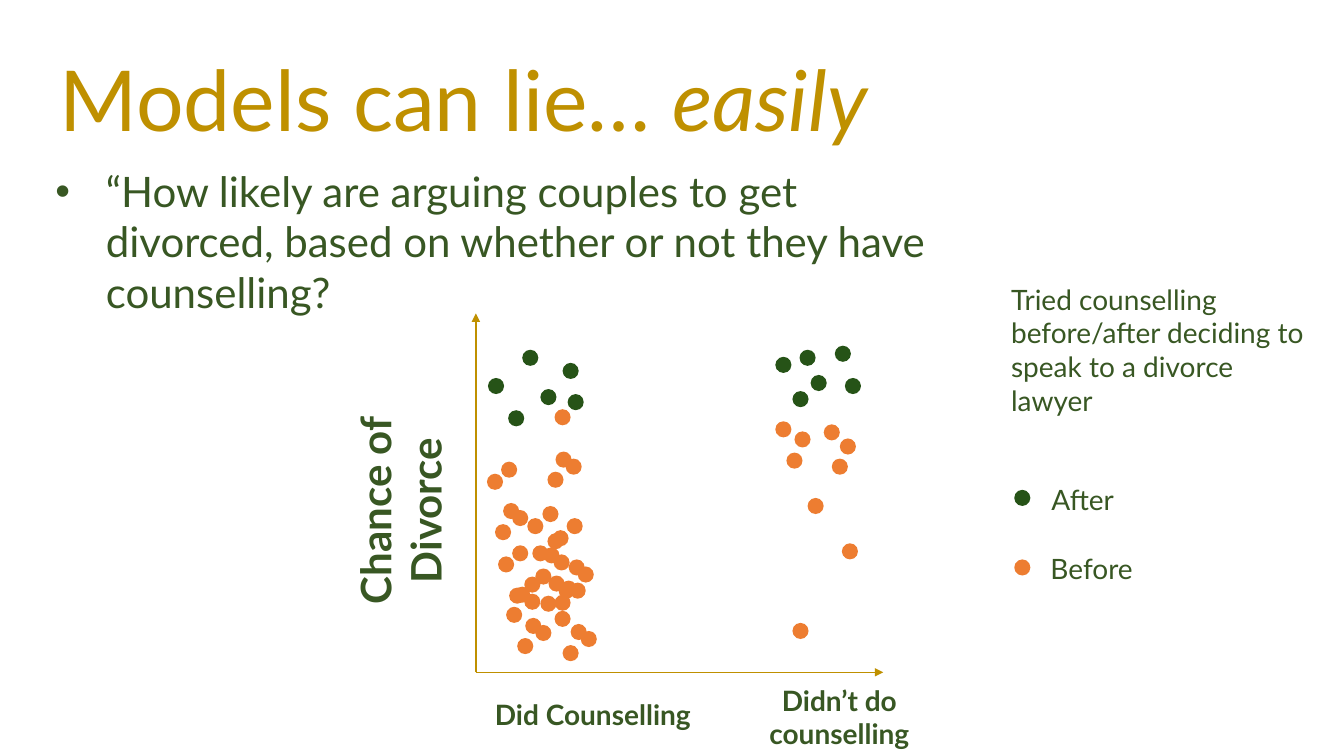
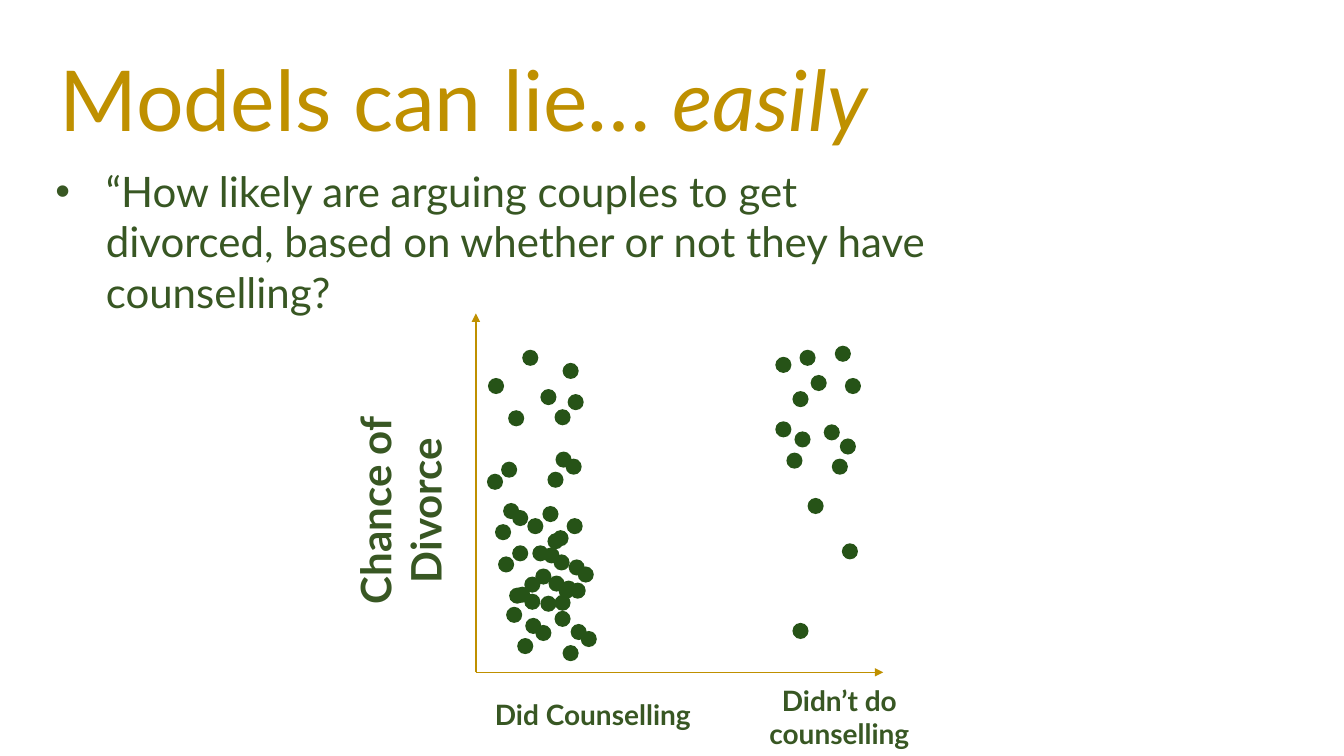
from lxml import etree
from pptx import Presentation
from pptx.dml.color import RGBColor
from pptx.enum.shapes import MSO_CONNECTOR, MSO_SHAPE
from pptx.enum.text import MSO_ANCHOR, MSO_AUTO_SIZE, PP_ALIGN
from pptx.oxml.ns import qn
from pptx.util import Emu, Pt

STRAIGHT = MSO_CONNECTOR.STRAIGHT
OVAL = MSO_SHAPE.OVAL
TOP = MSO_ANCHOR.TOP
NO_FIT = MSO_AUTO_SIZE.NONE
LEFT, CENTER = PP_ALIGN.LEFT, PP_ALIGN.CENTER

FONT = "Lato"
COLORS = {"gold": "BF9000", "text": "385723", "green": "265317", "orange": "ED7D31"}
SLIDE_W, SLIDE_H = 1333, 750
DOT = 16

TITLE = [("Models can lie… ", False), ("easily", True)]
TITLE_BOX = (49, 42, 1235, 111)
QUESTION = ("“How likely are arguing couples to get divorced, "
            "based on whether or not they have counselling?")
QUESTION_BOX = (45, 159, 925, 162)
BULLET_INDENT = 50

ORIGIN = (472, 667)
AXIS_ENDS = [(472, 311), (876, 667)]
AXIS_LABELS = [
    ("Did Counselling", (481, 687, 235, 35), 20, LEFT, 0),
    ("Chance of Divorce", (236, 451, 322, 111), 30, CENTER, 270),
    ("Didn’t do counselling", (729, 673, 207, 77), 20, CENTER, 0),
]

AFTER = [
    (484, 375), (504, 407), (518, 347), (786, 388), (536, 386), (804, 372),
    (828, 343), (793, 347), (838, 375), (769, 354), (563, 391), (558, 360),
]
BEFORE = [
    (551, 448), (499, 499), (564, 555), (510, 582), (566, 619), (521, 613),
    (539, 543), (544, 571), (543, 468), (491, 520), (556, 576), (502, 602),
    (558, 640), (513, 633), (531, 564), (536, 591), (561, 455), (508, 506),
    (573, 562), (520, 589), (576, 626), (531, 620), (549, 550), (554, 578),
    (550, 406), (497, 458), (562, 514), (508, 541), (565, 578), (520, 572),
    (538, 502), (543, 529), (550, 606), (483, 470), (548, 526), (494, 552),
    (550, 590), (505, 583), (523, 514), (528, 541), (833, 435), (788, 428),
    (769, 418), (825, 455), (780, 449), (817, 421), (801, 494), (835, 539),
    (786, 618),
]

LEGEND_TITLE = "Tried counselling before/after deciding to speak to a divorce lawyer"
LEGEND_TITLE_BOX = (993, 275, 310, 145)
LEGEND = [
    ("After", "green", (1006, 486), (1033, 474, 310, 44)),
    ("Before", "orange", (1006, 555), (1032, 542, 310, 44)),
]

SLIDES = [
    {"before_color": "orange", "legend": True},
    {"before_color": "green", "legend": False},
]


def px(n):
    return Emu(n * 9144)


def rgb(name):
    return RGBColor.from_string(COLORS[name])


def place(sp, box):
    sp.left, sp.top, sp.width, sp.height = map(px, box)


def write(sp, runs, size, color="text", bold=False, align=LEFT):
    tf = sp.text_frame
    tf.word_wrap = True
    tf.auto_size = NO_FIT
    tf.vertical_anchor = TOP
    p = tf.paragraphs[0]
    p.alignment = align
    p.space_before = Pt(0)
    for text, italic in runs:
        r = p.add_run()
        r.text = text
        r.font.name = FONT
        r.font.size = Pt(size)
        r.font.bold = bold
        r.font.italic = italic
        r.font.color.rgb = rgb(color)
    return p


def add_label(shapes, text, box, size=20, bold=False, align=LEFT, rotation=0):
    sp = shapes.add_textbox(*map(px, box))
    sp.rotation = rotation
    write(sp, [(text, False)], size, bold=bold, align=align)


def add_dot(shapes, at, color):
    sp = shapes.add_shape(OVAL, *map(px, (*at, DOT, DOT)))
    sp.shadow.inherit = False
    sp.fill.solid()
    sp.fill.fore_color.rgb = rgb(color)
    sp.line.fill.background()


def add_axis(shapes, end):
    line = shapes.add_connector(STRAIGHT, *map(px, ORIGIN + end))
    line.line.color.rgb = rgb("gold")
    line.line.width = Pt(1)
    ln = line.line._get_or_add_ln()
    etree.SubElement(ln, qn("a:tailEnd"), type="triangle")
    etree.SubElement(line._element.spPr, qn("a:effectLst"))


def add_heading(s):
    title, body = s.shapes.title, s.placeholders[1]
    place(title, TITLE_BOX)
    write(title, TITLE, 60, "gold")
    place(body, QUESTION_BOX)
    p = write(body, [(QUESTION, False)], 30)
    pPr = p._p.get_or_add_pPr()
    pPr.set("marL", str(px(BULLET_INDENT)))
    pPr.set("indent", str(px(-BULLET_INDENT)))


def add_plot(s, before_color):
    shapes = s.shapes.add_group_shape().shapes
    for end in AXIS_ENDS:
        add_axis(shapes, end)
    for text, box, size, align, rotation in AXIS_LABELS:
        add_label(shapes, text, box, size, True, align, rotation)
    for points, color in ((AFTER, "green"), (BEFORE, before_color)):
        for at in points:
            add_dot(shapes, at, color)


def add_legend(s):
    add_label(s.shapes, LEGEND_TITLE, LEGEND_TITLE_BOX)
    for text, color, dot_at, box in LEGEND:
        add_dot(s.shapes, dot_at, color)
        add_label(s.shapes, text, box)


def main():
    prs = Presentation()
    prs.slide_width, prs.slide_height = px(SLIDE_W), px(SLIDE_H)
    for slide in SLIDES:
        s = prs.slides.add_slide(prs.slide_layouts[1])
        add_heading(s)
        add_plot(s, slide["before_color"])
        if slide["legend"]:
            add_legend(s)
    prs.save("out.pptx")


if __name__ == "__main__":
    main()
